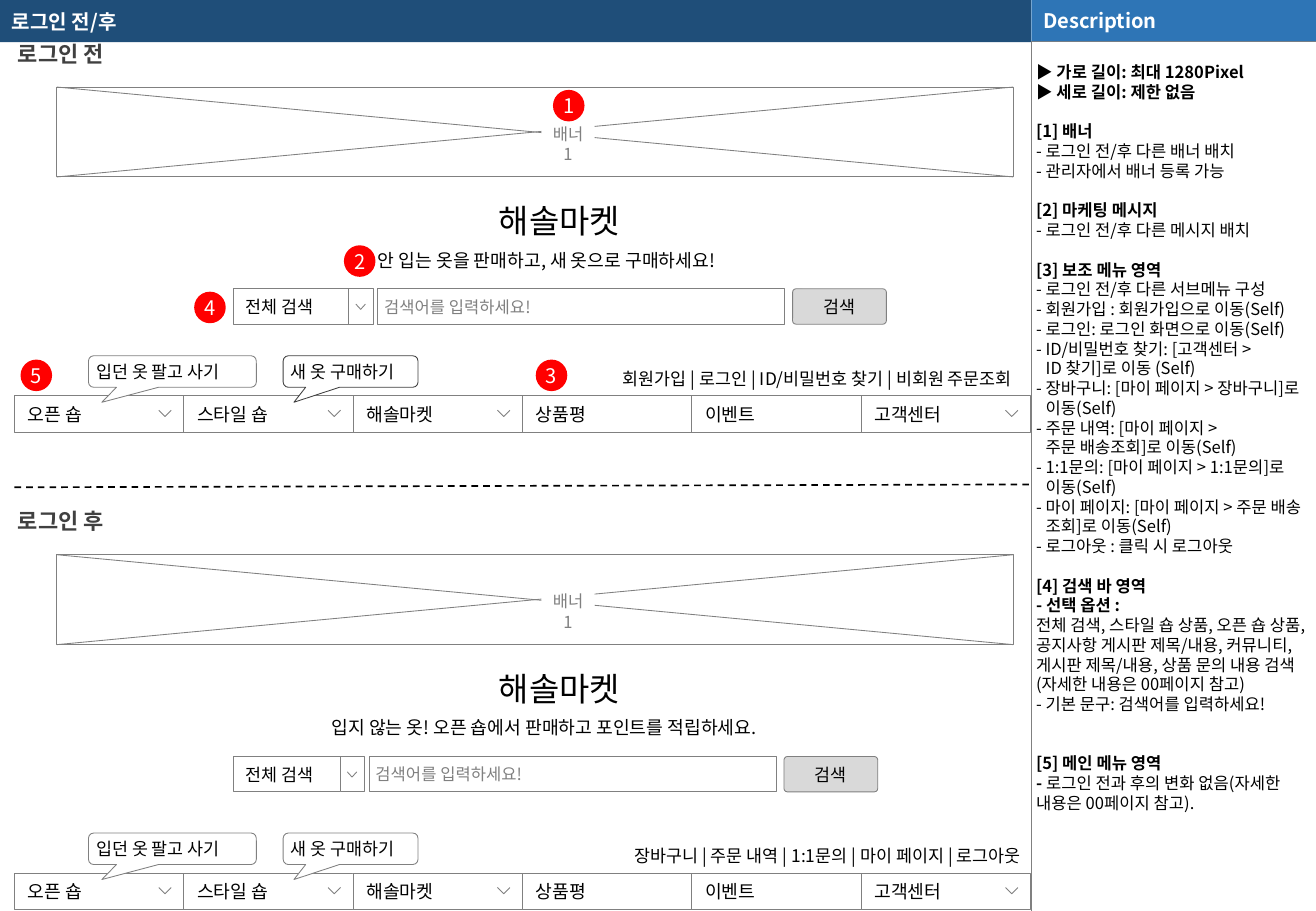
from lxml.etree import SubElement
from pptx import Presentation
from pptx.dml.color import RGBColor
from pptx.enum.dml import MSO_LINE
from pptx.enum.shapes import MSO_CONNECTOR, MSO_SHAPE as Preset
from pptx.enum.text import MSO_ANCHOR as Anchor, MSO_AUTO_SIZE, PP_ALIGN as Align
from pptx.oxml.ns import qn
from pptx.util import Cm, Pt

FONT = "Noto Sans CJK KR"
COLORS = {"navy": "1F4E79", "blue": "2E75B6", "white": "FFFFFF", "black": "000000",
          "gray": "808080", "dark": "404040", "light": "D9D9D9", "red": "FF0000"}
SIDE_LEFT, SIDE_WIDTH, BAR_HEIGHT = 21.56, 5.95, 0.88
MARKET = "해솔마켓"
MENU = [("오픈 숍", True), ("스타일 숍", True), (MARKET, True),
        ("상품평", False), ("이벤트", False), ("고객센터", True)]
BADGES = [("1", 11.56, 1.88), ("2", 7.19, 5.13), ("3", 11.2, 7.52),
          ("4", 4.06, 6.1), ("5", 0.43, 7.52)]
# Groups of (blank lines before, [(kind, text)])
DESCRIPTION = [
    (0, [("bold", "▶ 가로 길이: 최대 1280Pixel"), ("bold", "▶ 세로 길이: 제한 없음")]),
    (1, [("bold", "[1] 배너"), ("plain", "- 로그인 전/후 다른 배너 배치"),
         ("plain", "- 관리자에서 배너 등록 가능")]),
    (1, [("bold", "[2] 마케팅 메시지"), ("plain", "- 로그인 전/후 다른 메시지 배치")]),
    (1, [("bold", "[3] 보조 메뉴 영역"),
         ("plain", "- 로그인 전/후 다른 서브메뉴 구성"),
         ("plain", "- 회원가입 : 회원가입으로 이동(Self)"),
         ("plain", "- 로그인: 로그인 화면으로 이동(Self)"),
         ("plain", "- ID/비밀번호 찾기: [고객센터 >"), ("indent", "ID 찾기]로 이동 (Self)"),
         ("plain", "- 장바구니: [마이 페이지 > 장바구니]로"), ("indent", "이동(Self)"),
         ("plain", "- 주문 내역: [마이 페이지 >"), ("indent", "주문 배송조회]로 이동(Self)"),
         ("plain", "- 1:1문의: [마이 페이지 > 1:1문의]로"), ("indent", "이동(Self)"),
         ("plain", "- 마이 페이지: [마이 페이지 > 주문 배송"), ("indent", "조회]로 이동(Self)"),
         ("plain", "- 로그아웃 : 클릭 시 로그아웃")]),
    (1, [("bold", "[4] 검색 바 영역"), ("bold", "- 선택 옵션 :"),
         ("plain", "전체 검색, 스타일 숍 상품, 오픈 숍 상품, 공지사항 게시판 제목/내용, "
                   "커뮤니티, 게시판 제목/내용, 상품 문의 내용 검색(자세한 내용은 00페이지 참고)"),
         ("plain", "- 기본 문구: 검색어를 입력하세요!")]),
    (2, [("bold", "[5] 메인 메뉴 영역"),
         ("dash", "로그인 전과 후의 변화 없음(자세한 내용은 00페이지 참고).")]),
]


def rgb(name):
    return RGBColor.from_string(COLORS[name])


def add_run(paragraph, text, size=10.3, color="black", bold=False):
    run = paragraph.add_run()
    run.text = text
    run.font.size, run.font.bold = Pt(size), bold
    run.font.color.rgb = rgb(color)
    run.font.name = FONT
    SubElement(run.font._element, qn("a:ea")).set("typeface", FONT)


def set_frame(shape, anchor=Anchor.MIDDLE, insets=(0.25, 0.13), wrap=True):
    frame = shape.text_frame
    frame.auto_size = MSO_AUTO_SIZE.NONE
    frame.word_wrap, frame.vertical_anchor = wrap, anchor
    frame.margin_left = frame.margin_right = Cm(insets[0])
    frame.margin_top = frame.margin_bottom = Cm(insets[1])
    return frame


def write_text(shape, text, align=Align.LEFT, spacing=None, anchor=Anchor.MIDDLE,
               insets=(0.25, 0.13), wrap=True, **font):
    paragraph = set_frame(shape, anchor, insets, wrap).paragraphs[0]
    paragraph.alignment, paragraph.space_before = align, Pt(0)
    if spacing:
        paragraph.line_spacing = Pt(spacing)
    add_run(paragraph, text, **font)


def paint(shape, fill=None, line=None):
    shape.shadow.inherit = False
    if fill:
        shape.fill.solid()
        shape.fill.fore_color.rgb = rgb(fill)
    else:
        shape.fill.background()
    if line:
        shape.line.color.rgb, shape.line.width = rgb(line), Pt(0.5)
    else:
        shape.line.fill.background()


def add_box(slide, box, text="", preset=Preset.RECTANGLE, fill=None, line=None,
            adjust=(), **style):
    shape = slide.shapes.add_shape(preset, *map(Cm, box))
    paint(shape, fill, line)
    for index, value in enumerate(adjust):
        shape.adjustments[index] = value
    if text:
        write_text(shape, text, **style)


def add_label(slide, box, text, **style):
    write_text(slide.shapes.add_textbox(*map(Cm, box)), text, **style)


def add_line(slide, start, end, color="gray", width=0.5, dash=None):
    line = slide.shapes.add_connector(MSO_CONNECTOR.STRAIGHT, *map(Cm, start + end))
    line.line.color.rgb, line.line.width = rgb(color), Pt(width)
    if dash:
        line.line.dash_style = dash
    SubElement(line._element.spPr, qn("a:effectLst"))


def add_chevron(slide, left, top, width, height):
    builder = slide.shapes.build_freeform(Cm(left), Cm(top))
    builder.add_line_segments([(Cm(left + width / 2), Cm(top + height)),
                               (Cm(left + width), Cm(top))], close=False)
    paint(builder.convert_to_shape(), line="gray")


def add_header(slide):
    title = slide.shapes.title
    title.left, title.top, title.width, title.height = map(Cm, (0, 0, SIDE_LEFT, BAR_HEIGHT))
    title.fill.solid()
    title.fill.fore_color.rgb = rgb("navy")
    write_text(title, "로그인 전/후", size=11.9, color="white", bold=True)
    add_box(slide, (SIDE_LEFT, 0, SIDE_WIDTH, BAR_HEIGHT), fill="gray")
    add_line(slide, (SIDE_LEFT, 0), (SIDE_LEFT, BAR_HEIGHT), "white", 0.25)
    add_line(slide, (SIDE_LEFT, 0.86), (SIDE_LEFT, 19.05), "gray", 0.25)
    add_box(slide, (SIDE_LEFT, 0, SIDE_WIDTH, 0.86), "Description", fill="blue",
            size=11.9, color="white", bold=True)


def add_description(slide, box):
    pitch = 11.7
    frame = set_frame(slide.shapes.add_textbox(*map(Cm, box)), Anchor.TOP, (0.1, 0))
    paragraph = frame.paragraphs[0]
    for number, (blank_lines, lines) in enumerate(DESCRIPTION):
        for index, (kind, text) in enumerate(lines):
            if number or index:
                paragraph = frame.add_paragraph()
            paragraph.line_spacing = Pt(pitch)
            paragraph.space_before = Pt(0 if index else blank_lines * pitch)
            if kind == "indent":
                paragraph._p.get_or_add_pPr().set("marL", str(Cm(0.2)))
            if kind == "dash":
                add_run(paragraph, "- ", size=9.8, bold=True)
            add_run(paragraph, text, size=9.8, bold=kind == "bold")


def add_banner(slide, left, top, width, height):
    add_box(slide, (left, top, width, height), fill="white", line="gray")
    add_line(slide, (left, top + height), (left + width, top))
    add_line(slide, (left, top), (left + width, top + height))
    add_box(slide, (left + 10.13, top + 0.76, 1.11, 0.88), "배너1", fill="white",
            align=Align.CENTER, anchor=Anchor.TOP, insets=(0.2, 0), spacing=12,
            size=9.8, color="gray")


def add_search(slide, left, top, select_width):
    height, arrow_width, field_width = 0.74, 0.51, 8.51
    arrow = left + select_width
    field = arrow + arrow_width + 0.1
    add_box(slide, (left, top, select_width, height), "전체 검색", fill="white", line="gray")
    add_box(slide, (arrow, top, arrow_width, height), fill="white", line="gray")
    add_chevron(slide, arrow + 0.15, top + 0.32, 0.2, 0.11)
    add_box(slide, (field, top, field_width, height), "검색어를 입력하세요!", line="gray",
            insets=(0.13, 0.13), size=9.8, color="gray")
    add_box(slide, (field + field_width + 0.16, top, 1.96, height), "검색",
            preset=Preset.ROUNDED_RECTANGLE, adjust=(0.097,), fill="light", line="gray",
            align=Align.CENTER)


def add_menu(slide, left, top, links, links_right, callout_line):
    cell = 3.54
    add_label(slide, (links_right - 12, top - 0.81, 12, 0.9), links, align=Align.RIGHT)
    for index, (name, has_chevron) in enumerate(MENU):
        cell_left = left + index * cell
        add_box(slide, (cell_left, top, cell, 0.76), name, fill="white", line="gray",
                insets=(0.28, 0.13), size=10.8)
        if has_chevron:
            add_chevron(slide, cell_left + 3.02, top + 0.3, 0.26, 0.13)
    for offset, width, text, line in ((5.62, 2.82, "새 옷 구매하기", callout_line),
                                      (1.55, 3.51, "입던 옷 팔고 사기", "gray")):
        add_box(slide, (left + offset, top - 0.84, width, 0.66), text,
                preset=Preset.ROUNDED_RECTANGULAR_CALLOUT, adjust=(-0.42, 0.975, 0.167),
                fill="white", line=line, insets=(0.13, 0.13))


def add_section(slide, top, label, message, message_left, select_width, menu_offset, **menu):
    add_label(slide, (0, top, 2.54, 0.81), label, align=Align.CENTER, size=13,
              color="dark", bold=True)
    add_banner(slide, 1.19, top + 1.11, 19.99, 1.88)
    add_label(slide, (9.53, top + 3.35, 4.34, 1.09), MARKET, align=Align.CENTER, size=19.5)
    add_label(slide, (message_left, top + 4.37, 10.6, 0.71), message, size=10.8)
    add_search(slide, 4.88, top + 5.33, select_width)
    add_menu(slide, 0.3, top + menu_offset, **menu)


def main():
    presentation = Presentation()
    presentation.slide_width, presentation.slide_height = Cm(27.51), Cm(19.05)
    slide = presentation.slides.add_slide(presentation.slide_layouts[5])
    add_header(slide)
    add_description(slide, (SIDE_LEFT, 1.3, SIDE_WIDTH, 17.7))
    # Before and after login
    add_section(slide, 0.71, "로그인 전", "안 입는 옷을 판매하고, 새 옷으로 구매하세요!", 7.65,
                2.41, 7.57, links="회원가입 | 로그인 | ID/비밀번호 찾기 | 비회원 주문조회",
                links_right=21.41, callout_line="dark")
    add_line(slide, (0.3, 10.19), (21.54, 10.13), "black", 1, MSO_LINE.DASH)
    add_section(slide, 10.49, "로그인 후",
                "입지 않는 옷! 오픈 숍에서 판매하고 포인트를 적립하세요.", 6.68,
                2.23, 7.77, links="장바구니 | 주문 내역 | 1:1문의 | 마이 페이지 | 로그아웃",
                links_right=21.59, callout_line="gray")
    # Numbered badges
    for number, left, top in BADGES:
        add_box(slide, (left, top, 0.66, 0.66), number, preset=Preset.OVAL, fill="red",
                align=Align.CENTER, insets=(0, 0), wrap=False, size=11.9, color="white")
    presentation.save("out.pptx")


if __name__ == "__main__":
    main()
